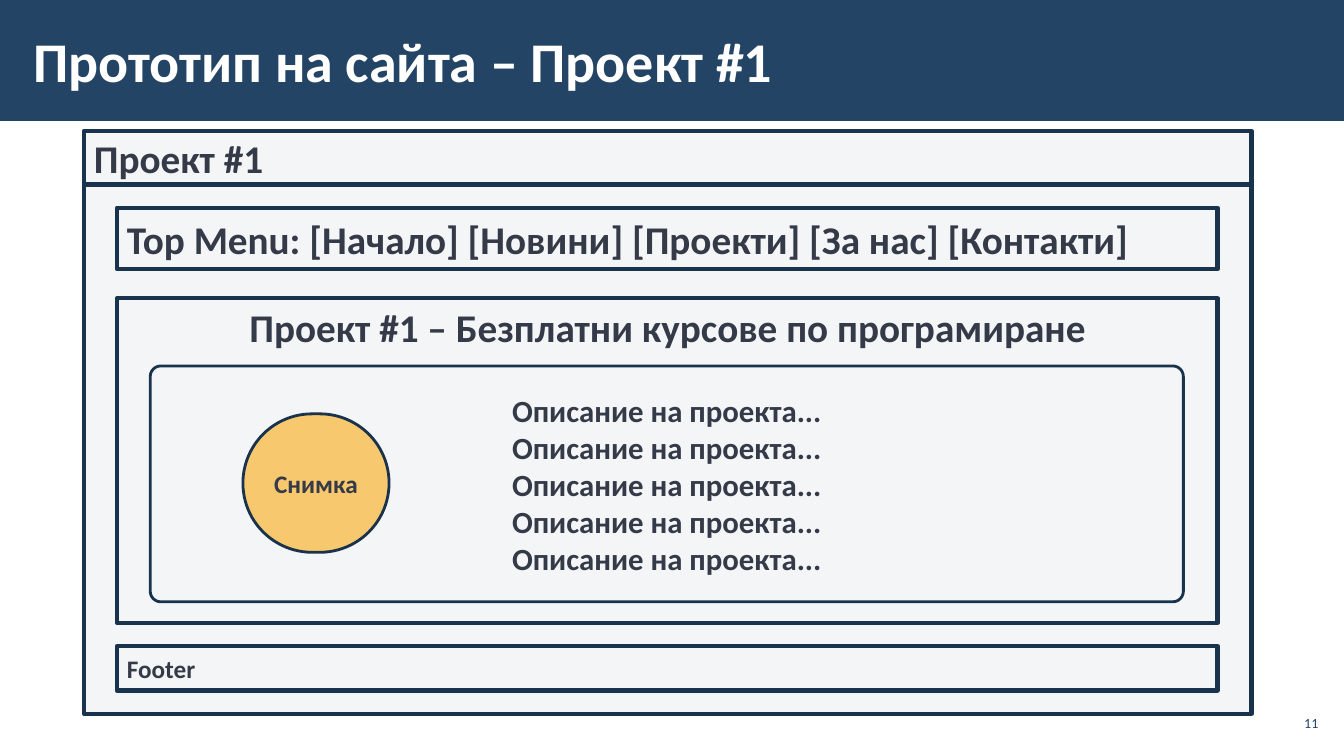
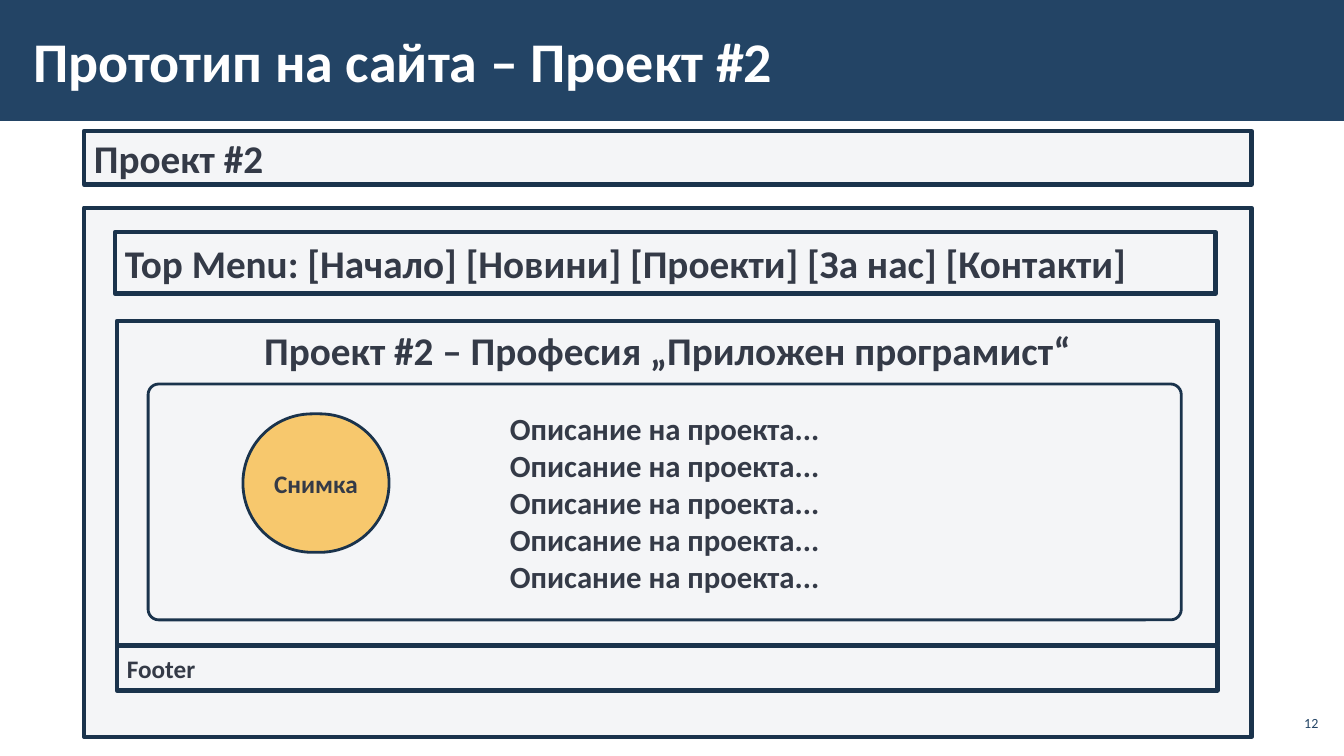
from dataclasses import dataclass

from pptx import Presentation
from pptx import util as u
from pptx.dml.color import RGBColor
from pptx.enum import shapes, text
from pptx.slide import Slide

NAVY = RGBColor(0x23, 0x44, 0x65)
OUTLINE = RGBColor(0x1A, 0x33, 0x4C)
PANEL = RGBColor(0xF4, 0xF5, 0xF7)
AMBER = RGBColor(0xF7, 0xC8, 0x6D)
INK = RGBColor(0x34, 0x3A, 0x47)
WHITE = RGBColor(0xFF, 0xFF, 0xFF)

FONT = "Calibri"
SLIDE_WIDTH, SLIDE_HEIGHT = 960, 540
WINDOW_LEFT, WINDOW_WIDTH = 60, 834
INNER_LEFT, INNER_WIDTH = 83.5, 786.2

LEFT, CENTER, RIGHT = text.PP_ALIGN.LEFT, text.PP_ALIGN.CENTER, text.PP_ALIGN.RIGHT
TOP, MIDDLE = text.MSO_ANCHOR.TOP, text.MSO_ANCHOR.MIDDLE

MENU = "Top Menu: [Начало] [Новини] [Проекти] [За нас] [Контакти]"
DESCRIPTION = ("Описание на проекта...",) * 5


@dataclass(frozen=True)
class Box:
    left: float
    top: float
    width: float
    height: float


@dataclass(frozen=True)
class Label:
    lines: tuple[str, ...]
    size: float
    align: text.PP_ALIGN = LEFT
    anchor: text.MSO_ANCHOR = MIDDLE
    color: RGBColor = INK
    bold: bool = True
    inset_x: float = 7.2
    inset_y: float = 3.6


@dataclass(frozen=True)
class Panel:
    box: Box
    label: Label | None = None
    fill: RGBColor = PANEL
    line: float = 3
    rounding: float = 0


@dataclass(frozen=True)
class Prototype:
    page: int
    name: str
    subject: str
    window_top: float
    menu_left: float
    menu_top: float
    content_top: float
    card_left: float
    card_top: float


PROTOTYPES = (
    Prototype(11, "Проект #1", "Безплатни курсове по програмиране",
              131.8, INNER_LEFT, 148.3, 213.1, 107.3, 261.4),
    Prototype(12, "Проект #2", "Професия „Приложен програмист“",
              148.3, 82.1, 165.8, 229.2, 105.8, 274.3),
)


def place(box: Box) -> tuple[u.Length, ...]:
    return tuple(u.Pt(value) for value in (box.left, box.top, box.width, box.height))


def write(frame, label: Label) -> None:
    frame.word_wrap = True
    frame.vertical_anchor = label.anchor
    frame.margin_left = frame.margin_right = u.Pt(label.inset_x)
    frame.margin_top = frame.margin_bottom = u.Pt(label.inset_y)
    frame.text = "\n".join(label.lines)
    for paragraph in frame.paragraphs:
        paragraph.alignment = label.align
        paragraph.font.name = FONT
        paragraph.font.size = u.Pt(label.size)
        paragraph.font.bold = label.bold
        paragraph.font.color.rgb = label.color


def add_label(slide: Slide, box: Box, label: Label) -> None:
    write(slide.shapes.add_textbox(*place(box)).text_frame, label)


def add_panel(slide: Slide, panel: Panel) -> None:
    kind = shapes.MSO_SHAPE.ROUNDED_RECTANGLE if panel.rounding else shapes.MSO_SHAPE.RECTANGLE
    shape = slide.shapes.add_shape(kind, *place(panel.box))
    if panel.rounding:
        shape.adjustments[0] = panel.rounding
    shape.shadow.inherit = False
    shape.fill.solid()
    shape.fill.fore_color.rgb = panel.fill
    if panel.line:
        shape.line.color.rgb = OUTLINE
        shape.line.width = u.Pt(panel.line)
    else:
        shape.line.fill.background()
    if panel.label:
        write(shape.text_frame, panel.label)


def add_frame(slide: Slide, title: str, page: int) -> None:
    add_panel(slide, Panel(Box(0, 0, SLIDE_WIDTH, 86.4), fill=NAVY, line=0))
    add_label(slide, Box(910.8, 504, 33.8, 24.5),
              Label((str(page),), 10, RIGHT, color=NAVY, bold=False, inset_x=2.9, inset_y=2.9))
    add_label(slide, Box(15.1, 7.9, 748, 69.8),
              Label((title,), 40, color=WHITE, inset_x=8.5, inset_y=2.9))


def prototype_panels(prototype: Prototype) -> tuple[Panel, ...]:
    heading = f"{prototype.name} – {prototype.subject}"
    return (
        Panel(Box(WINDOW_LEFT, 93.6, WINDOW_WIDTH, 38.2), Label((prototype.name,), 28)),
        Panel(Box(WINDOW_LEFT, prototype.window_top, WINDOW_WIDTH, 378)),
        Panel(Box(prototype.menu_left, prototype.menu_top, INNER_WIDTH, 43.9),
              Label((MENU,), 28)),
        Panel(Box(INNER_LEFT, 461.5, INNER_WIDTH, 31.7), Label(("Footer",), 18)),
        Panel(Box(INNER_LEFT, prototype.content_top, INNER_WIDTH, 231.8),
              Label((heading,), 28, CENTER, TOP)),
        Panel(Box(prototype.card_left, prototype.card_top, 738, 168.5),
              Label(DESCRIPTION, 22, CENTER), line=2, rounding=0.045),
        Panel(Box(173.5, 295.6, 104.4, 98.9),
              Label(("Снимка",), 18, CENTER), AMBER, 2, 0.5),
    )


def main() -> None:
    presentation = Presentation()
    presentation.slide_width = u.Pt(SLIDE_WIDTH)
    presentation.slide_height = u.Pt(SLIDE_HEIGHT)
    for prototype in PROTOTYPES:
        slide = presentation.slides.add_slide(presentation.slide_layouts[6])
        add_frame(slide, f"Прототип на сайта – {prototype.name}", prototype.page)
        for panel in prototype_panels(prototype):
            add_panel(slide, panel)
    presentation.save("out.pptx")


if __name__ == "__main__":
    main()
